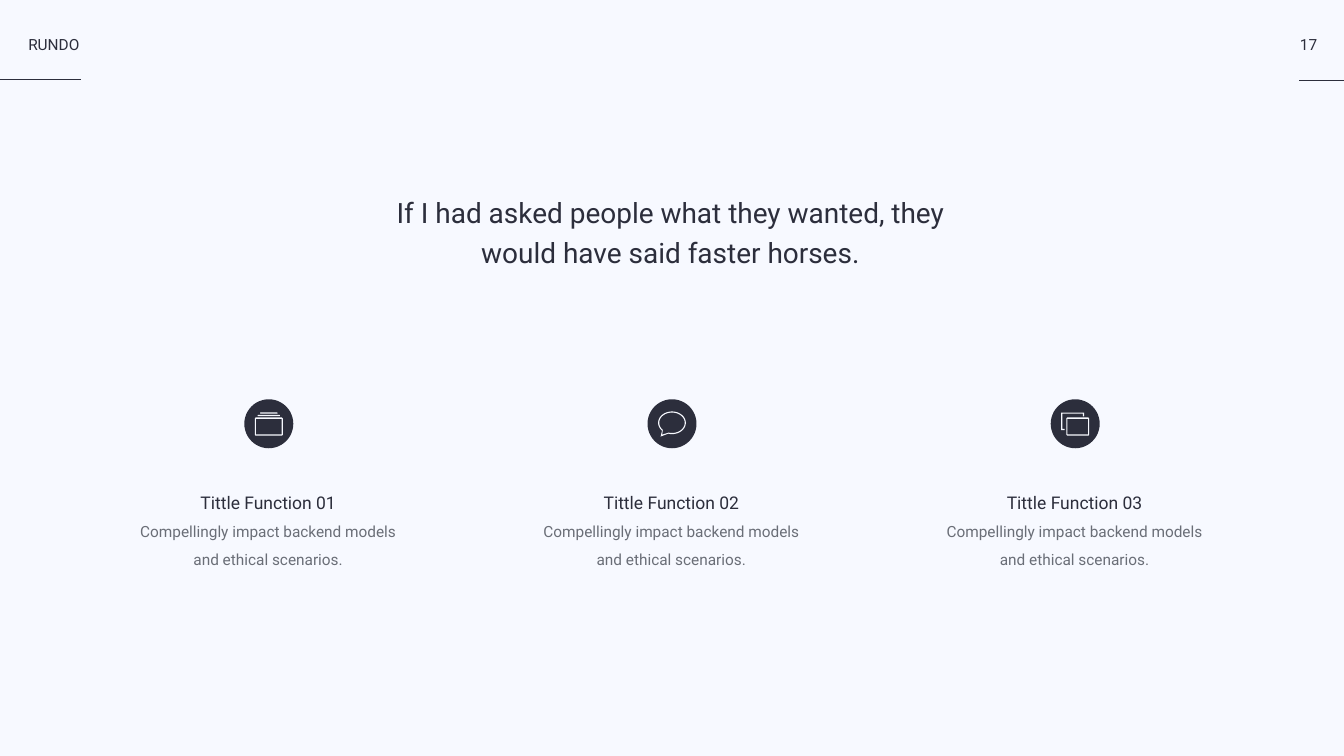
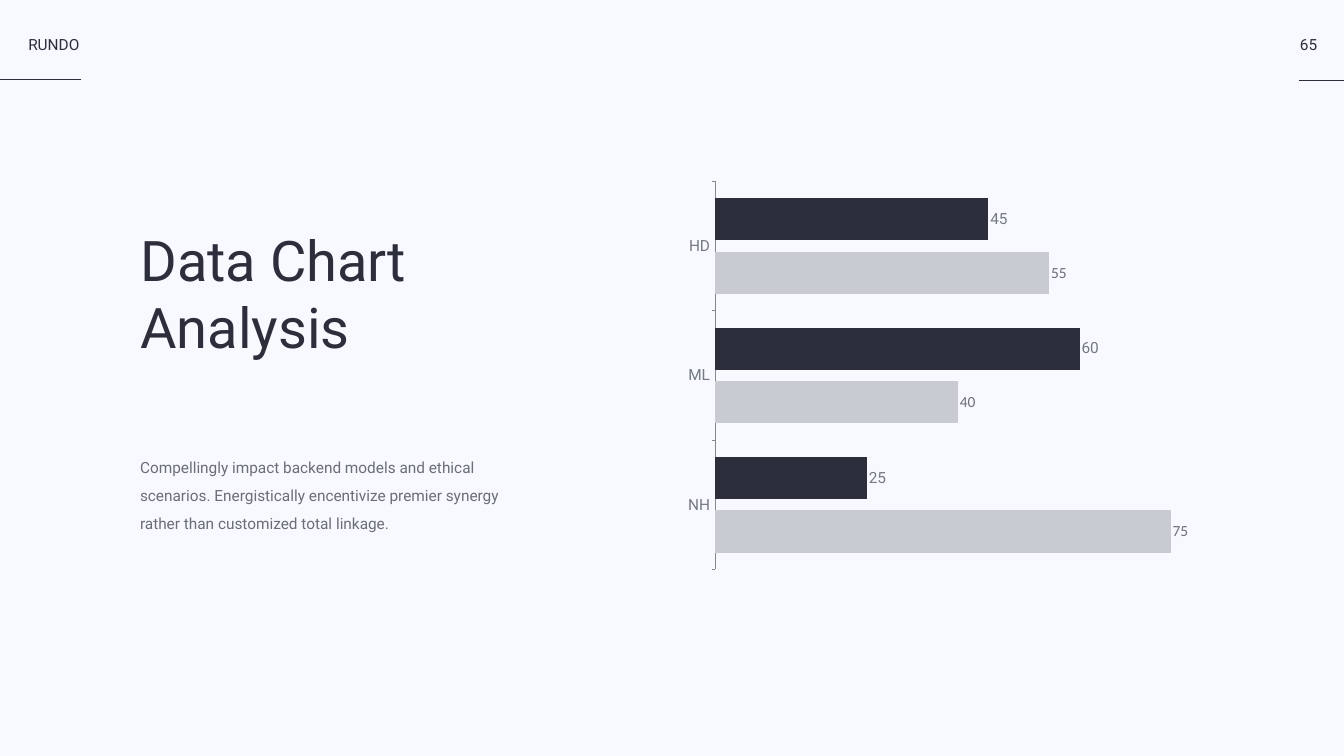
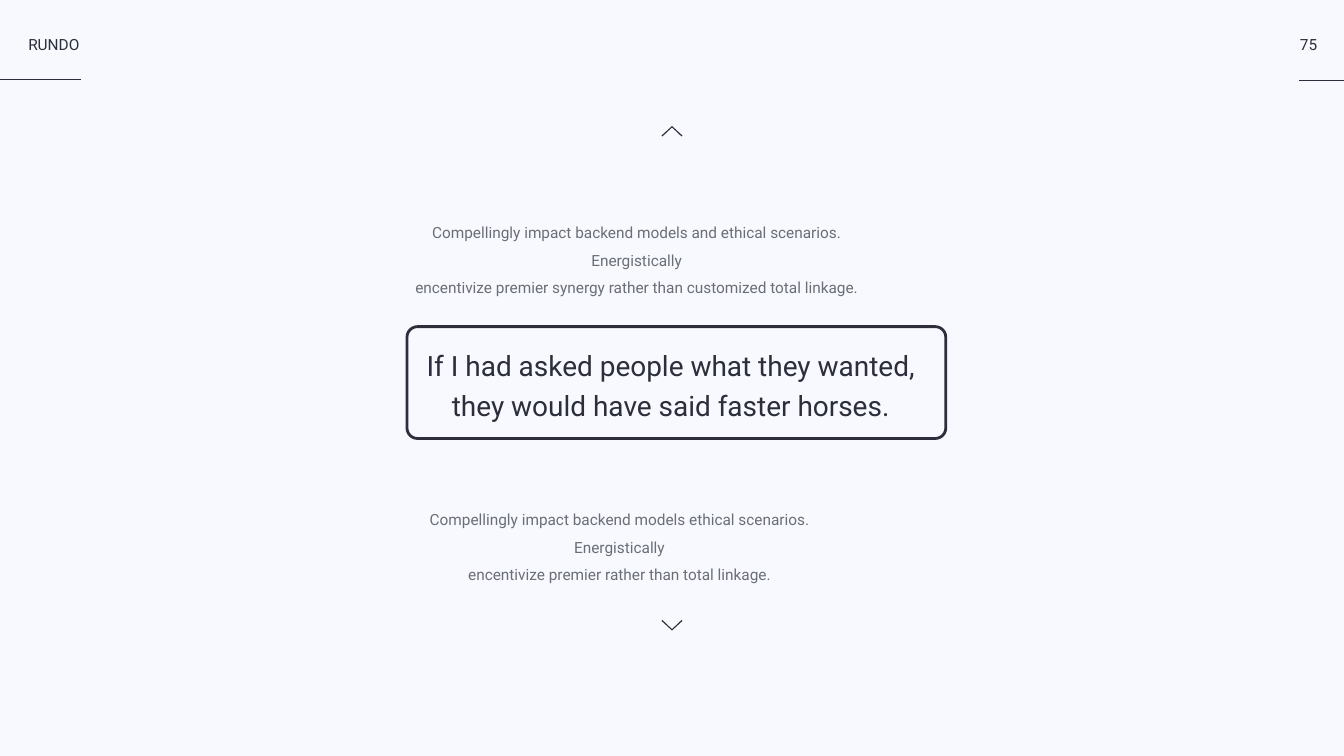
import math
from dataclasses import dataclass
from typing import NamedTuple, Optional

import pptx
import pptx.chart.data
import pptx.dml.color
import pptx.enum.chart
import pptx.enum.shapes
import pptx.enum.text
import pptx.oxml
import pptx.oxml.ns
import pptx.util
from pptx.util import Pt

Align = pptx.enum.text.PP_ALIGN
Point = tuple[float, float]
Contour = list[Point]


@dataclass(frozen=True)
class Theme:
    paper: str = "F7F9FF"
    ink: str = "2C2E3C"
    body: str = "6A6E77"
    axis_text: str = "747A82"
    axis_line: str = "888888"
    pale_bar: str = "C8CBD1"
    font: str = "Roboto"
    label_font: str = "Calibri"
    title_size: float = 80
    quote_size: float = 40
    heading_size: float = 25
    body_size: float = 22
    quote_spacing: float = 1.2
    body_spacing: float = 1.5


THEME = Theme()
SLIDE_WIDTH, SLIDE_HEIGHT = 1920, 1080
CENTRE_X = SLIDE_WIDTH / 2


class Area(NamedTuple):
    """A rectangle in points."""
    left: float
    top: float
    width: float
    height: float

    def lengths(self) -> list[pptx.util.Length]:
        return [Pt(value) for value in self]


class Feature(NamedTuple):
    title: str
    text: str
    icon: list[Contour]


class BarSeries(NamedTuple):
    name: str
    values: tuple[int, ...]
    fill: str
    label_color: str
    label_font: str
    label_format: str


class Arrow(NamedTuple):
    tip_y: float
    direction: int  # 1 points up, -1 points down


def rgb(color: str) -> pptx.dml.color.RGBColor:
    return pptx.dml.color.RGBColor.from_string(color)


def style_font(font, size: float, color: str, name: str = THEME.font) -> None:
    font.size = Pt(size)
    font.name = name
    font.color.rgb = rgb(color)


def style_shape(shape, fill: Optional[str] = None, line: Optional[str] = None,
                line_width: float = 1) -> None:
    shape.shadow.inherit = False
    if fill:
        shape.fill.solid()
        shape.fill.fore_color.rgb = rgb(fill)
    else:
        shape.fill.background()
    if line:
        shape.line.color.rgb = rgb(line)
        shape.line.width = Pt(line_width)
    else:
        shape.line.fill.background()


def add_box(slide, area: Area, wrap: bool = False):
    box = slide.shapes.add_textbox(*area.lengths())
    frame = box.text_frame
    frame.margin_left = frame.margin_top = frame.margin_right = frame.margin_bottom = 0
    frame.word_wrap = wrap
    frame.auto_size = pptx.enum.text.MSO_AUTO_SIZE.SHAPE_TO_FIT_TEXT
    return box


def write(box, text: str, *, size: float = THEME.body_size, color: str = THEME.ink,
          align: Align = Align.LEFT, spacing: Optional[float] = None) -> None:
    """Append each line of the text to the box as a paragraph."""
    frame = box.text_frame
    for line in text.split("\n"):
        para = frame.paragraphs[0] if not frame.text else frame.add_paragraph()
        para.alignment = align
        para.line_spacing = spacing
        span = para.add_run()
        span.text = line
        style_font(span.font, size, color)


def write_body(box, text: str, align: Align = Align.CENTER) -> None:
    write(box, text, color=THEME.body, align=align, spacing=THEME.body_spacing)


def write_quote(box, text: str) -> None:
    write(box, text, size=THEME.quote_size, align=Align.CENTER,
          spacing=THEME.quote_spacing)


def add_rule(slide, left: float, right: float, y: float) -> None:
    rule = slide.shapes.add_connector(
        pptx.enum.shapes.MSO_CONNECTOR.STRAIGHT, Pt(left), Pt(y), Pt(right), Pt(y))
    rule.line.color.rgb = rgb(THEME.ink)
    rule.line.width = Pt(2)
    rule._element.spPr.append(pptx.oxml.parse_xml(
        f"<a:effectLst {pptx.oxml.ns.nsdecls('a')}/>"))


def add_outline(shapes, contours: list[Contour], x: float, y: float, fill: str) -> None:
    """Fill closed contours given around (x, y); inner contours become holes."""
    builder = None
    for contour in contours:
        points = [(Pt(x + dx), Pt(y + dy)) for dx, dy in contour]
        if builder is None:
            builder = shapes.build_freeform(*points[0], scale=1.0)
        else:
            builder.move_to(*points[0])
        builder.add_line_segments(points[1:], close=True)
    style_shape(builder.convert_to_shape(), fill)


def soft_rect(left: float, top: float, right: float, bottom: float,
              cut: float = 0.6) -> Contour:
    """A rectangle with its corners cut."""
    return [(left + cut, top), (right - cut, top), (right, top + cut),
            (right, bottom - cut), (right - cut, bottom), (left + cut, bottom),
            (left, bottom - cut), (left, top + cut)]


def card(left: float) -> list[Contour]:
    """A thin frame from left to the right edge of the icon."""
    return [soft_rect(left, -9, 20, 17, 1.2),
            soft_rect(left + 1.6, -7, 18.4, 15, 0)]


def bubble(radius_x: float, radius_y: float, tail: Point) -> Contour:
    angles = [math.radians(degree) for degree in range(136, 468, 6)]
    return [(radius_x * math.cos(angle), radius_y * math.sin(angle) - 1.4)
            for angle in angles] + [tail]


STACK_ICON = card(-20) + [soft_rect(-16, -12.6, 16, -10.8),
                          soft_rect(-12.5, -16.2, 12.5, -14.4)]
CHAT_ICON = [bubble(19.8, 16.2, (-16.2, 18.3)), bubble(18.2, 14.6, (-14, 15.6))]
COPY_ICON = card(-12.6) + [[
    (-15, 9), (-20, 9), (-20, -16), (12.6, -16), (12.6, -10.6),
    (11, -10.6), (11, -14.4), (-18.4, -14.4), (-18.4, 7.4), (-15, 7.4)]]

FEATURE_TEXT = "Compellingly impact backend models\nand ethical scenarios."
FEATURES = [
    Feature("Tittle Function 01", FEATURE_TEXT, STACK_ICON),
    Feature("Tittle Function 02", FEATURE_TEXT, CHAT_ICON),
    Feature("Tittle Function 03", FEATURE_TEXT, COPY_ICON),
]
CATEGORIES = ["HD", "ML", "NH"]
SERIES = [
    BarSeries("Series 1", (45, 60, 25), THEME.ink, THEME.axis_text, THEME.font, "0"),
    BarSeries("Series 2", (55, 40, 75), THEME.pale_bar, THEME.body,
              THEME.label_font, "#,##0"),
]
ARROWS = [Arrow(900.7, -1), Arrow(180, 1)]


def add_page(deck, number: int):
    """Add a slide with the running header and its page number."""
    slide = deck.slides.add_slide(deck.slide_layouts[6])
    slide.background.fill.solid()
    slide.background.fill.fore_color.rgb = rgb(THEME.paper)
    add_rule(slide, 0, 116, 114)
    write(add_box(slide, Area(40.4, 50, 75.6, 28.8)), "RUNDO")
    add_rule(slide, 1856.4, SLIDE_WIDTH, 115)
    write(add_box(slide, Area(1856.4, 50, 26, 28.8)), str(number), align=Align.CENTER)
    return slide


def add_badge(slide, icon: list[Contour], x: float, y: float, size: float = 70) -> None:
    badge = slide.shapes.add_group_shape()
    disc = badge.shapes.add_shape(
        pptx.enum.shapes.MSO_SHAPE.OVAL,
        *Area(x - size / 2, y - size / 2, size, size).lengths())
    style_shape(disc, THEME.ink)
    add_outline(badge.shapes, icon, x, y, THEME.paper)


def build_features(deck) -> None:
    slide = add_page(deck, 17)
    pitch, width = 576, 366
    for index, feature in enumerate(FEATURES):
        x = CENTRE_X + (index - 1) * pitch
        box = add_box(slide, Area(x - 184, 688, width, 121.7))
        write(box, feature.title, size=THEME.heading_size, align=Align.CENTER,
              spacing=THEME.body_spacing)
        write_body(box, feature.text)
        add_badge(slide, feature.icon, x, 605.4)
    write_quote(add_box(slide, Area(564.6, 269.3, 786.2, 116.6)),
                "If I had asked people what they wanted, they\n"
                "would have said faster horses.")


def set_plot_area(chart, x: float, y: float, width: float, height: float) -> None:
    """Fix the inner plot area as fractions of the chart."""
    plot_area = chart._chartSpace.chart.plotArea
    for layout in plot_area.findall(pptx.oxml.ns.qn("c:layout")):
        plot_area.remove(layout)
    plot_area.insert(0, pptx.oxml.parse_xml(
        f"<c:layout {pptx.oxml.ns.nsdecls('c')}><c:manualLayout>"
        '<c:layoutTarget val="inner"/><c:xMode val="edge"/><c:yMode val="edge"/>'
        f'<c:x val="{x}"/><c:y val="{y}"/><c:w val="{width}"/><c:h val="{height}"/>'
        "</c:manualLayout></c:layout>"))


def style_axes(chart) -> None:
    ticks = pptx.enum.chart.XL_TICK_MARK
    names = chart.category_axis
    names.reverse_order = True
    names.has_major_gridlines = False
    names.major_tick_mark = ticks.OUTSIDE
    names.minor_tick_mark = ticks.NONE
    names.format.line.color.rgb = rgb(THEME.axis_line)
    names.format.line.width = Pt(1)
    style_font(names.tick_labels.font, THEME.body_size, THEME.axis_text)

    values = chart.value_axis
    values.minimum_scale, values.maximum_scale, values.major_unit = 0, 80, 20
    values.has_major_gridlines = False
    values.major_tick_mark = values.minor_tick_mark = ticks.NONE
    values.tick_label_position = pptx.enum.chart.XL_TICK_LABEL_POSITION.NONE
    values.format.line.fill.background()


def add_bar_chart(slide, area: Area) -> None:
    data = pptx.chart.data.CategoryChartData()
    data.categories = CATEGORIES
    for item in SERIES:
        data.add_series(item.name, item.values)
    chart = slide.shapes.add_chart(
        pptx.enum.chart.XL_CHART_TYPE.BAR_CLUSTERED, *area.lengths(), data).chart
    chart.has_legend = False
    chart.has_title = False
    style_font(chart.font, 10, "000000", "Arial")
    set_plot_area(chart, 0.073, 0.019, 0.922, 0.962)
    style_axes(chart)

    plot = chart.plots[0]
    plot.vary_by_categories = False
    plot.gap_width, plot.overlap = 80, -27
    for item, bars in zip(SERIES, plot.series):
        bars.format.fill.solid()
        bars.format.fill.fore_color.rgb = rgb(item.fill)
        labels = bars.data_labels
        labels.show_value = True
        labels.position = pptx.enum.chart.XL_LABEL_POSITION.OUTSIDE_END
        labels.number_format = item.label_format
        labels.number_format_is_linked = False
        style_font(labels.font, THEME.body_size, item.label_color, item.label_font)


def build_chart(deck) -> None:
    slide = add_page(deck, 65)
    write(add_box(slide, Area(200.4, 322.6, 405.4, 211.7)), "Data Chart\nAnalysis",
          size=THEME.title_size)
    write_body(add_box(slide, Area(200, 641.5, 514, 116)),
               "Compellingly impact backend models and ethical\n"
               "scenarios. Energistically encentivize premier synergy\n"
               "rather than customized total linkage.", Align.LEFT)
    add_bar_chart(slide, Area(966.3, 248.2, 753.4, 576.4))


def build_quote(deck) -> None:
    slide = add_page(deck, 75)
    write_quote(add_box(slide, Area(607.5, 488.2, 701.3, 116.6)),
                "If I had asked people what they wanted,\n"
                "they would have said faster horses.")
    border = slide.shapes.add_shape(pptx.enum.shapes.MSO_SHAPE.ROUNDED_RECTANGLE,
                                    *Area(581.4, 466.6, 769.7, 159.8).lengths())
    border.adjustments[0] = 0.094
    style_shape(border, line=THEME.ink, line_width=4)
    write_body(add_box(slide, Area(591, 305.3, 637, 116), wrap=True),
               "Compellingly impact backend models and ethical scenarios. Energistically\n"
               "encentivize premier synergy rather than customized total linkage.")
    write_body(add_box(slide, Area(612, 715.4, 546, 116), wrap=True),
               "Compellingly impact backend models ethical scenarios. Energistically\n"
               "encentivize premier rather than total linkage.")
    chevron = [(-15, 13.7), (0, 0), (15, 13.7), (13.7, 15), (0, 2), (-13.7, 15)]
    for arrow in ARROWS:
        contour = [(x, y * arrow.direction) for x, y in chevron]
        add_outline(slide.shapes, [contour], CENTRE_X, arrow.tip_y, THEME.ink)


def main() -> None:
    deck = pptx.Presentation()
    deck.slide_width, deck.slide_height = Pt(SLIDE_WIDTH), Pt(SLIDE_HEIGHT)
    build_features(deck)
    build_chart(deck)
    build_quote(deck)
    deck.save("out.pptx")


if __name__ == "__main__":
    main()
